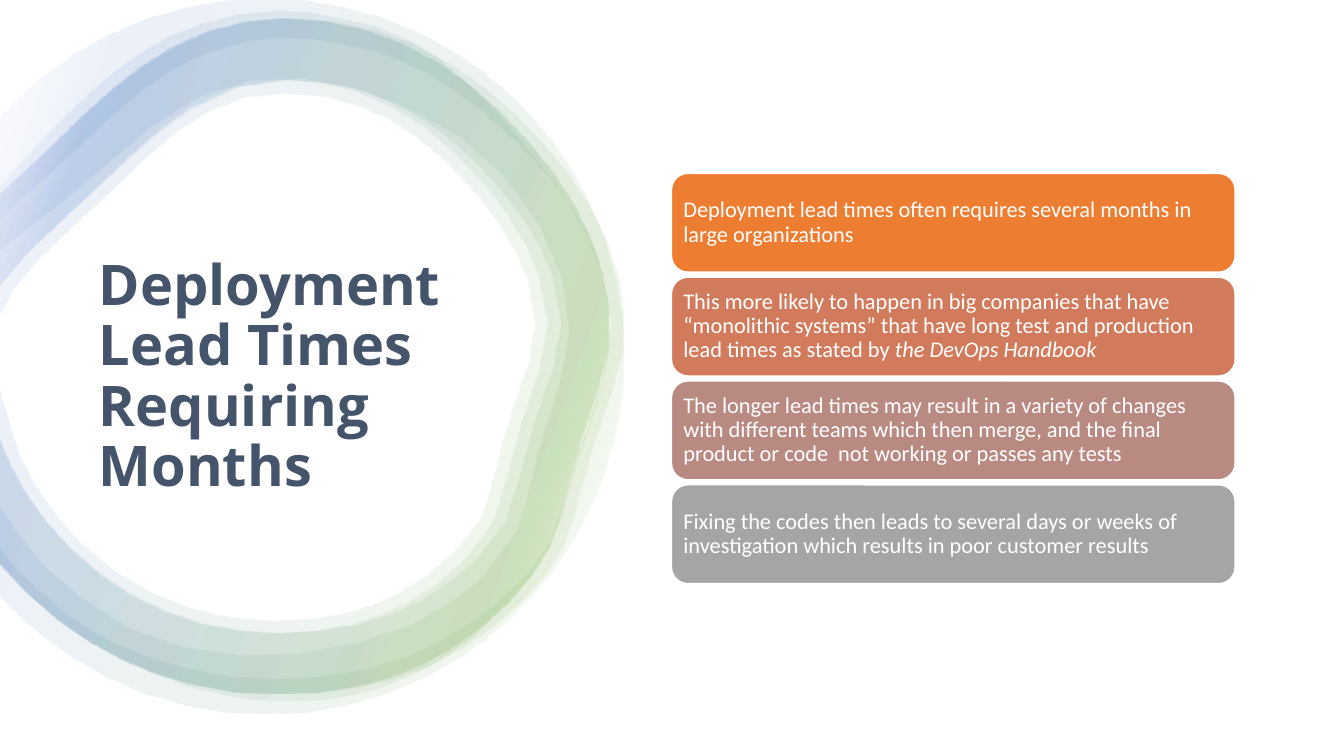
from math import dist

from lxml import etree
from pptx import Presentation
from pptx.dml.color import RGBColor
from pptx.enum.shapes import MSO_SHAPE
from pptx.enum.text import MSO_ANCHOR, MSO_AUTO_SIZE, PP_ALIGN
from pptx.util import Inches, Pt

ROUND = MSO_SHAPE.ROUNDED_RECTANGLE
MIDDLE = MSO_ANCHOR.MIDDLE
LEFT = PP_ALIGN.LEFT
FIXED = MSO_AUTO_SIZE.NONE

WHITE = RGBColor(0xFF, 0xFF, 0xFF)
SLATE = RGBColor(0x44, 0x54, 0x6A)
GREEN = RGBColor(0x70, 0xAD, 0x47)
BLUE = RGBColor(0x44, 0x72, 0xC4)
ORANGE = RGBColor(0xED, 0x7D, 0x31)
RUST = RGBColor(0xD1, 0x7B, 0x5C)
ROSE = RGBColor(0xB9, 0x8A, 0x82)
GREY = RGBColor(0xA5, 0xA5, 0xA5)

STOPS = [(2, WHITE), (16, GREEN), (85, BLUE), (100, WHITE)]
ALPHA = 10
ANGLE = 200
STRIDE = 0.4


def bend(knots):
    """Sample a chain of cubic curves: a start, then three points for each curve."""
    line = [knots[0]]
    for i in range(0, len(knots) - 1, 3):
        a, b, c, d = knots[i:i + 4]
        steps = max(1, round((dist(a, b) + dist(b, c) + dist(c, d)) / STRIDE))
        for n in range(1, steps + 1):
            t = n / steps
            u = 1 - t
            line.append(tuple(
                u**3 * a[k] + 3 * u * u * t * b[k] + 3 * u * t * t * c[k] + t**3 * d[k]
                for k in (0, 1)))
    return line


def smooth(marks):
    """Sample a smooth curve that runs through every mark."""
    ends = [marks[0], *marks, marks[-1]]
    knots = [marks[0]]
    for a, b, c, d in zip(ends, ends[1:], ends[2:], ends[3:]):
        knots += [(b[0] + (c[0] - a[0]) / 6, b[1] + (c[1] - a[1]) / 6),
                  (c[0] - (d[0] - b[0]) / 6, c[1] - (d[1] - b[1]) / 6), c]
    return bend(knots)


deck = Presentation()
deck.slide_width = Inches(13.33)
deck.slide_height = Inches(7.5)
slide = deck.slides.add_slide(deck.slide_layouts[5])
shapes = slide.shapes

# Wavy band: outer edge clockwise, inner edge back up
wave = smooth([
    (0, 1.84), (.19, 1.63), (.61, 1.19), (1.09, .75), (1.66, .37),
    (2.34, .15), (2.75, .12), (3.05, .13), (3.73, .27), (4.09, .42), (4.34, .58),
    (4.84, 1.03), (5.26, 1.52), (5.65, 2.03), (5.94, 2.62), (6.05, 3.29),
    (5.93, 3.96), (5.74, 4.52), (5.57, 5.11), (5.45, 5.43), (5.05, 5.97),
    (4.69, 6.31), (4.28, 6.59), (3.66, 6.85), (3, 6.95), (2.51, 6.93),
    (1.86, 6.8), (1.11, 6.49), (.56, 6.14), (.2, 5.82), (0, 5.61)])
wave += smooth([
    (0, 5.03), (.2, 5.32), (.43, 5.6), (.76, 5.89), (1.25, 6.21), (1.81, 6.41),
    (2.39, 6.49), (2.97, 6.47), (3.53, 6.37), (4.07, 6.19), (4.5, 5.94),
    (4.78, 5.71), (5.11, 5.27), (5.2, 5.01), (5.35, 4.41), (5.54, 3.81),
    (5.64, 3.29), (5.56, 2.74), (5.33, 2.22), (4.99, 1.75), (4.55, 1.36),
    (4.04, 1.08), (3.53, .88), (2.99, .79), (2.46, .81), (1.96, .97),
    (1.5, 1.26), (1.05, 1.64), (.57, 2.04), (.09, 2.41), (0, 2.49)])

# Three bands that share one outer edge
rim = [(0, 1.92)] + bend([
    (.08, 1.84), (.24, 1.69), (.4, 1.55), (.56, 1.39),
    (1.19, .76), (1.83, .18), (2.79, .18), (3.84, .18), (4.62, .69), (5.25, 1.42),
    (5.79, 2.03), (6.26, 2.93), (5.92, 3.86), (5.46, 5.1), (5.66, 5.34), (5.03, 5.97),
    (4.4, 6.6), (3.68, 6.88), (2.71, 6.88), (1.76, 6.88), (.9, 6.5), (.27, 5.88),
    (.19, 5.8), (.11, 5.72), (.04, 5.63)]) + [(0, 5.58)]
thick = rim + [(0, 3.83)] + bend([
    (.02, 3.95), (.06, 4.13), (.11, 4.31), (.18, 4.48),
    (.32, 4.81), (.53, 5.1), (.78, 5.36), (1.3, 5.87), (1.99, 6.15), (2.71, 6.15),
    (3.48, 6.15), (4.02, 5.94), (4.51, 5.45), (4.68, 5.28), (4.74, 5.19), (4.77, 5.12),
    (4.82, 5.02), (4.85, 4.88), (4.9, 4.69), (4.96, 4.43), (5.05, 4.08), (5.23, 3.6),
    (5.33, 3.34), (5.32, 3.06), (5.22, 2.76), (5.12, 2.48), (4.94, 2.18), (4.7, 1.9),
    (4.41, 1.57), (4.13, 1.33), (3.83, 1.17), (3.51, 1), (3.17, .92), (2.79, .92),
    (2.12, .92), (1.66, 1.33), (1.08, 1.91), (.95, 2.04), (.82, 2.16), (.69, 2.27),
    (.46, 2.49), (.26, 2.67), (.13, 2.86), (.07, 2.95), (.03, 3.03), (0, 3.12)])
thin = rim + [(0, 4.34)] + bend([
    (.07, 4.53), (.22, 4.87), (.43, 5.18), (.7, 5.44),
    (1.24, 5.98), (1.95, 6.27), (2.71, 6.27), (3.12, 6.27), (3.47, 6.21), (3.77, 6.09),
    (4.07, 5.98), (4.34, 5.79), (4.6, 5.54), (4.78, 5.36), (4.84, 5.25), (4.88, 5.17),
    (4.93, 5.06), (4.97, 4.92), (5.02, 4.72), (5.08, 4.47), (5.17, 4.12), (5.34, 3.65),
    (5.45, 3.36), (5.45, 3.05), (5.33, 2.72), (5.23, 2.43), (5.05, 2.12), (4.79, 1.82),
    (4.5, 1.48), (4.2, 1.23), (3.88, 1.06), (3.54, .88), (3.19, .79), (2.79, .79),
    (2.47, .79), (2.17, .88), (1.87, 1.07), (1.56, 1.26), (1.27, 1.55), (.99, 1.82),
    (.86, 1.95), (.73, 2.07), (.61, 2.18), (.37, 2.4), (.17, 2.59), (.03, 2.79)])
thin += [(0, 2.84)]
wide = [(x * 1.025, y) for x, y in thin]

# Round halo
halo = [(0, 1.16)] + bend([
    (.12, 1.03), (.77, .38), (1.65, -.01), (2.63, -.01),
    (4.59, -.01), (6.18, 1.57), (6.18, 3.53), (6.18, 5.49), (4.59, 7.08), (2.63, 7.08),
    (1.65, 7.08), (.77, 6.68), (.12, 6.04)]) + [(0, 5.9)]
halo += smooth([
    (0, 5.44), (.17, 5.65), (.65, 6.08), (1.2, 6.4), (1.79, 6.61), (2.26, 6.7),
    (2.73, 6.72), (3.04, 6.71), (3.66, 6.62), (4.24, 6.41), (4.78, 6.08),
    (5.02, 5.88), (5.24, 5.65), (5.42, 5.4), (5.54, 5.1), (5.64, 4.79),
    (5.73, 4.47), (5.94, 3.85), (6.05, 3.22), (6.01, 2.9), (5.92, 2.59),
    (5.63, 2.02), (5.22, 1.52), (4.75, 1.09), (4.24, .74), (3.67, .5),
    (3.07, .39), (2.77, .38), (2.47, .41), (1.9, .59), (1.38, .92),
    (.9, 1.34), (.42, 1.79), (.17, 2), (0, 2.17)])

# Draw the bands with a faint gradient
for ring in (wave, wide, thick, thin, halo):
    dots = [(Inches(x), Inches(y)) for x, y in ring]
    path = shapes.build_freeform(*dots[0], scale=1.0)
    path.add_line_segments(dots[1:], close=True)
    band = path.convert_to_shape()
    band.shadow.inherit = False
    band.line.fill.background()
    band.fill.gradient()
    grad = band._element.spPr.find("{*}gradFill")
    space = "{%s}" % etree.QName(grad).namespace
    for part in list(grad):
        grad.remove(part)
    stops = etree.SubElement(grad, space + "gsLst")
    for place, tone in STOPS:
        stop = etree.SubElement(stops, space + "gs", pos=str(place * 1000))
        color = etree.SubElement(stop, space + "srgbClr", val=str(tone))
        etree.SubElement(color, space + "alpha", val=str(ALPHA * 1000))
    etree.SubElement(grad, space + "lin", ang=str(ANGLE * 60000), scaled="0")

# Title
title = shapes.title
title.left, title.top = Inches(0.88), Inches(2.21)
title.width, title.height = Inches(4), Inches(3.08)
frame = title.text_frame
frame.word_wrap = True
frame.auto_size = FIXED
frame.vertical_anchor = MIDDLE
para = frame.paragraphs[0]
para.alignment = LEFT
para.line_spacing = 0.9
run = para.add_run()
run.text = "Deployment Lead Times Requiring Months"
run.font.name = "Open Sans"
run.font.size = Pt(40)
run.font.bold = True
run.font.color.rgb = SLATE

# Stacked cards: fill, then runs as (text, italic)
CARDS = [
    (ORANGE, [("Deployment lead times often requires several months in large "
               "organizations", False)]),
    (RUST, [("This more likely to happen in big companies that have “monolithic "
             "systems” that have long test and production lead times as stated by ", False),
            ("the DevOps Handbook", True)]),
    (ROSE, [("The longer lead times may result in a variety of changes with different "
             "teams which then merge, and the final product or code  not working or "
             "passes any tests", False)]),
    (GREY, [("Fixing the codes then leads to several days or weeks of investigation "
             "which results in poor customer results", False)]),
]
for row, (tone, runs) in enumerate(CARDS):
    card = shapes.add_shape(ROUND, Inches(6.66), Inches(1.72 + 1.03 * row),
                            Inches(5.59), Inches(0.98))
    card.shadow.inherit = False
    card.fill.solid()
    card.fill.fore_color.rgb = tone
    card.line.color.rgb = WHITE
    card.line.width = Pt(1)
    frame = card.text_frame
    frame.word_wrap = True
    frame.vertical_anchor = MIDDLE
    frame.margin_left = frame.margin_right = Inches(0.07)
    frame.margin_top = frame.margin_bottom = Inches(0.07)
    para = frame.paragraphs[0]
    para.alignment = LEFT
    para.line_spacing = 0.9
    for text, slant in runs:
        run = para.add_run()
        run.text = text
        run.font.name = "Calibri"
        run.font.size = Pt(16)
        run.font.italic = slant
        run.font.color.rgb = WHITE

deck.save("out.pptx")
